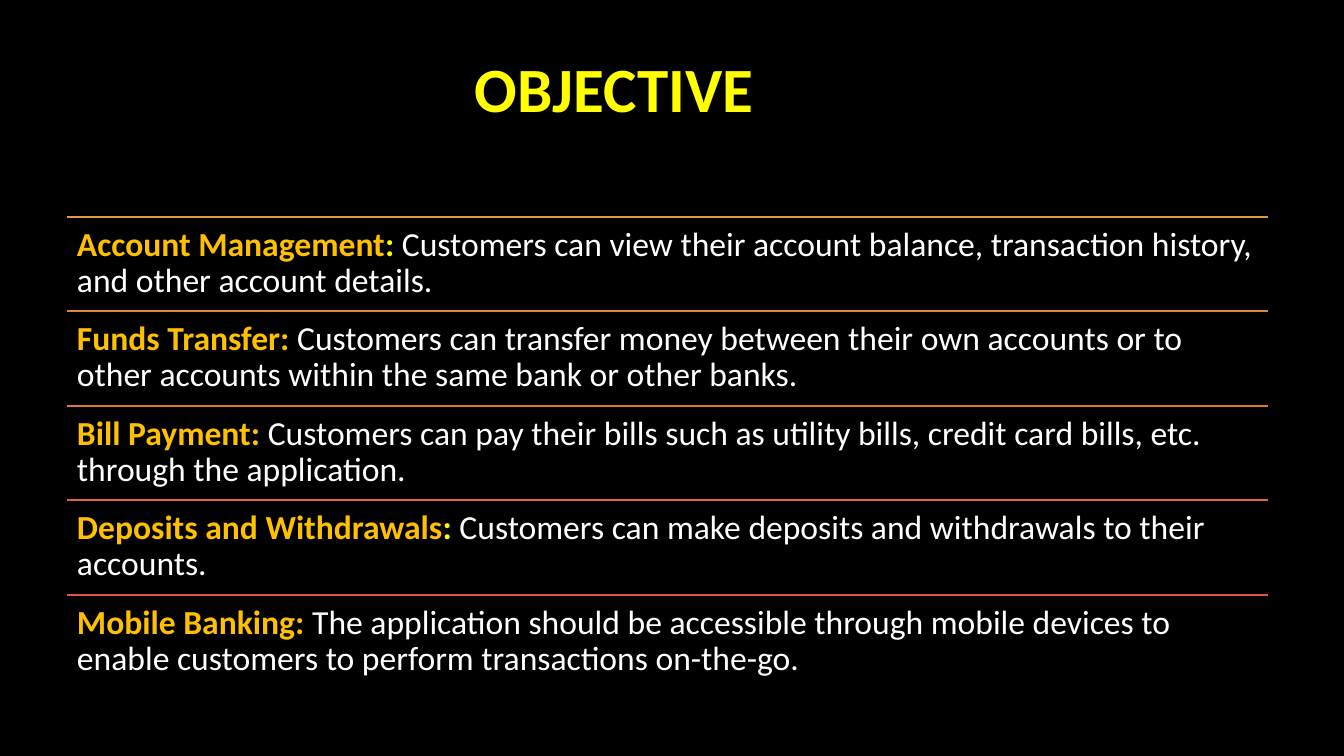
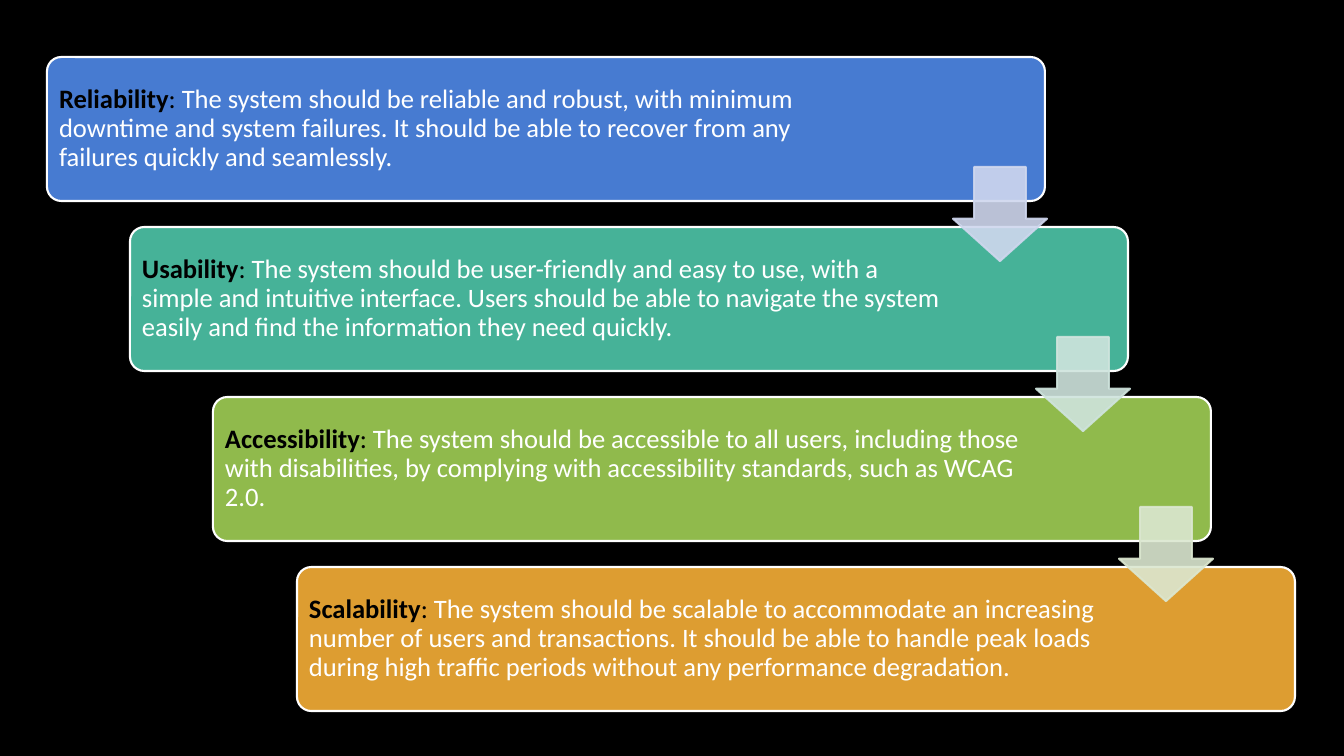
from dataclasses import dataclass
from typing import Any

from lxml import etree
from pptx import Presentation
from pptx.dml.color import RGBColor
from pptx.enum.shapes import MSO_CONNECTOR, MSO_SHAPE
from pptx.enum.text import MSO_ANCHOR, MSO_AUTO_SIZE, PP_ALIGN
from pptx.oxml.ns import qn
from pptx.util import Emu, Pt

# Enum members
STRAIGHT = MSO_CONNECTOR.STRAIGHT
ROUNDED = MSO_SHAPE.ROUNDED_RECTANGLE
DOWN_ARROW = MSO_SHAPE.DOWN_ARROW
TOP, MIDDLE = MSO_ANCHOR.TOP, MSO_ANCHOR.MIDDLE
LEFT = PP_ALIGN.LEFT
NO_AUTOFIT = MSO_AUTO_SIZE.NONE

# Shared style
EMU_PER_PIXEL = 914400 / 100.8
SLIDE_WIDTH, SLIDE_HEIGHT = 1344, 756
TITLE_ONLY_LAYOUT, BLANK_LAYOUT = 5, 6
FONT = "Calibri"
BLACK, WHITE, YELLOW, AMBER = "000000", "FFFFFF", "FFFF00", "FFC000"
LINE_POINTS = 1.5
LINE_SPACING = 0.9


@dataclass(frozen=True)
class Box:
    left: int
    top: int
    width: int
    height: int


@dataclass(frozen=True)
class Run:
    text: str
    color: str
    bold: bool = False


@dataclass(frozen=True)
class Objective:
    heading: str
    detail: str
    rule_color: str
    colon_color: str = AMBER


@dataclass(frozen=True)
class Quality:
    heading: str
    detail: str
    fill: str
    text_width: int = 814
    arrow_color: str = ""


TITLE_BOX = Box(465, 12, 879, 160)
LIST_BOX = Box(67, 217, 1201, 473)
OBJECTIVES = [
    Objective("Account Management",
              "Customers can view their\u00a0account balance, transaction history, "
              "and other account details.", "DD9D31", YELLOW),
    Objective("Funds Transfer",
              "Customers can transfer money between their own accounts or to other "
              "accounts within the same bank or other banks.", "DE8836"),
    Objective("Bill Payment",
              "Customers can pay their bills such as utility bills, credit card "
              "bills, etc. through the application.", "E0753C"),
    Objective("Deposits and Withdrawals",
              "Customers can make deposits and withdrawals to their accounts.",
              "E16341", YELLOW),
    Objective("Mobile Banking",
              "The application should be accessible through mobile devices to "
              "enable customers to perform transactions on-the-go.", "E25247"),
]

FIRST_CARD = Box(47, 57, 998, 144)
STAIR_WIDTH, STAIR_HEIGHT = 250, 510
CARD_PADDING = 4
ARROW_OFFSET_X, ARROW_OFFSET_Y, ARROW_SIZE = 906, 110, 94
ARROW_OPACITY = 90
QUALITIES = [
    Quality("Reliability",
            "The system should be reliable and robust, with minimum downtime and "
            "system failures. It should be able to recover from any failures "
            "quickly and seamlessly.", "477BD1", 832, "CFD7EE"),
    Quality("Usability",
            "The system should be user-friendly and easy to use, with a simple and "
            "intuitive interface. Users should be able to navigate the system "
            "easily and find the information they need quickly.",
            "46B298", arrow_color="CFE4DD"),
    Quality("Accessibility",
            "The system should be accessible to all users, including those with "
            "disabilities, by complying with accessibility standards, such as "
            "WCAG 2.0.", "90BA4C", arrow_color="DBE7D0"),
    Quality("Scalability",
            "The system should be scalable to accommodate an increasing number of "
            "users and transactions. It should be able to handle peak loads during "
            "high traffic periods without any performance degradation.", "DD9D31"),
]


# Helpers
def px(pixels: int) -> Emu:
    return Emu(round(pixels * EMU_PER_PIXEL))


def rgb(color: str) -> RGBColor:
    return RGBColor.from_string(color)


def bounds(box: Box) -> tuple[Emu, Emu, Emu, Emu]:
    return px(box.left), px(box.top), px(box.width), px(box.height)


def apply_format(target: Any, values: dict[str, Any]) -> None:
    for name, value in values.items():
        setattr(target, name, value)


def write_text(shape: Any, runs: list[Run], size: int, anchor: Any,
               inset: int, spacing: float = LINE_SPACING) -> None:
    frame = shape.text_frame
    margin = px(inset)
    apply_format(frame, {
        "word_wrap": True, "auto_size": NO_AUTOFIT, "vertical_anchor": anchor,
        "margin_left": margin, "margin_right": margin,
        "margin_top": margin, "margin_bottom": margin,
    })
    paragraph = frame.paragraphs[0]
    apply_format(paragraph, {"alignment": LEFT, "line_spacing": spacing})
    for item in runs:
        run = paragraph.add_run()
        run.text = item.text
        apply_format(run.font, {"name": FONT, "size": Pt(size), "bold": item.bold})
        run.font.color.rgb = rgb(item.color)


def add_text(slide: Any, box: Box, runs: list[Run], size: int,
             anchor: Any, inset: int) -> None:
    write_text(slide.shapes.add_textbox(*bounds(box)), runs, size, anchor, inset)


def add_rule(slide: Any, left: int, top: int, width: int, color: str) -> None:
    rule = slide.shapes.add_connector(
        STRAIGHT, px(left), px(top), px(left + width), px(top))
    rule.line.color.rgb = rgb(color)
    rule.line.width = Pt(LINE_POINTS)
    etree.SubElement(rule._element.spPr, qn("a:effectLst"))


def add_filled_shape(slide: Any, kind: Any, box: Box, fill: str, outline: str,
                     adjustments: list[float], opacity: int = 100) -> None:
    shape = slide.shapes.add_shape(kind, *bounds(box))
    shape.shadow.inherit = False
    shape.fill.solid()
    shape.fill.fore_color.rgb = rgb(fill)
    shape.line.color.rgb = rgb(outline)
    shape.line.width = Pt(LINE_POINTS)
    for index, value in enumerate(adjustments):
        shape.adjustments[index] = value
    if opacity < 100:
        for color in list(shape._element.spPr.iter(qn("a:srgbClr"))):
            etree.SubElement(color, qn("a:alpha"), val=str(opacity * 1000))


# Slides
def build_objectives(presentation: Any) -> None:
    slide = presentation.slides.add_slide(
        presentation.slide_layouts[TITLE_ONLY_LAYOUT])
    title = slide.shapes.title
    title.left, title.top, title.width, title.height = bounds(TITLE_BOX)
    write_text(title, [Run("OBJECTIVE", YELLOW, True)], 45, MIDDLE, 10)

    row_height = LIST_BOX.height // len(OBJECTIVES)
    for index, objective in enumerate(OBJECTIVES):
        top = LIST_BOX.top + LIST_BOX.height * index // len(OBJECTIVES)
        add_rule(slide, LIST_BOX.left, top, LIST_BOX.width, objective.rule_color)
        add_text(slide, Box(LIST_BOX.left, top, LIST_BOX.width, row_height), [
            Run(objective.heading, AMBER, True),
            Run(":", objective.colon_color, True),
            Run(f" {objective.detail}", WHITE),
        ], 24, TOP, 10)


def build_qualities(presentation: Any) -> None:
    slide = presentation.slides.add_slide(presentation.slide_layouts[BLANK_LAYOUT])
    steps = len(QUALITIES) - 1
    corners = [(FIRST_CARD.left + STAIR_WIDTH * index // steps,
                FIRST_CARD.top + STAIR_HEIGHT * index // steps)
               for index in range(len(QUALITIES))]

    # Cards
    for quality, (left, top) in zip(QUALITIES, corners):
        card = Box(left, top, FIRST_CARD.width, FIRST_CARD.height)
        add_filled_shape(slide, ROUNDED, card, quality.fill, WHITE, [0.1])
        text_box = Box(left + CARD_PADDING, top + CARD_PADDING,
                       quality.text_width, card.height - 2 * CARD_PADDING)
        add_text(slide, text_box, [
            Run(quality.heading, BLACK, True),
            Run(": ", BLACK),
            Run(quality.detail, WHITE),
        ], 19, MIDDLE, 8)

    # Arrows lie over the cards they join
    for quality, (left, top) in zip(QUALITIES, corners):
        if quality.arrow_color:
            arrow = Box(left + ARROW_OFFSET_X, top + ARROW_OFFSET_Y,
                        ARROW_SIZE, ARROW_SIZE)
            add_filled_shape(slide, DOWN_ARROW, arrow, quality.arrow_color,
                             quality.arrow_color, [0.55, 0.45], ARROW_OPACITY)


def main() -> None:
    presentation = Presentation()
    presentation.slide_width = px(SLIDE_WIDTH)
    presentation.slide_height = px(SLIDE_HEIGHT)
    background = presentation.slide_master.background.fill
    background.solid()
    background.fore_color.rgb = rgb(BLACK)
    build_objectives(presentation)
    build_qualities(presentation)
    presentation.save("out.pptx")


main()
